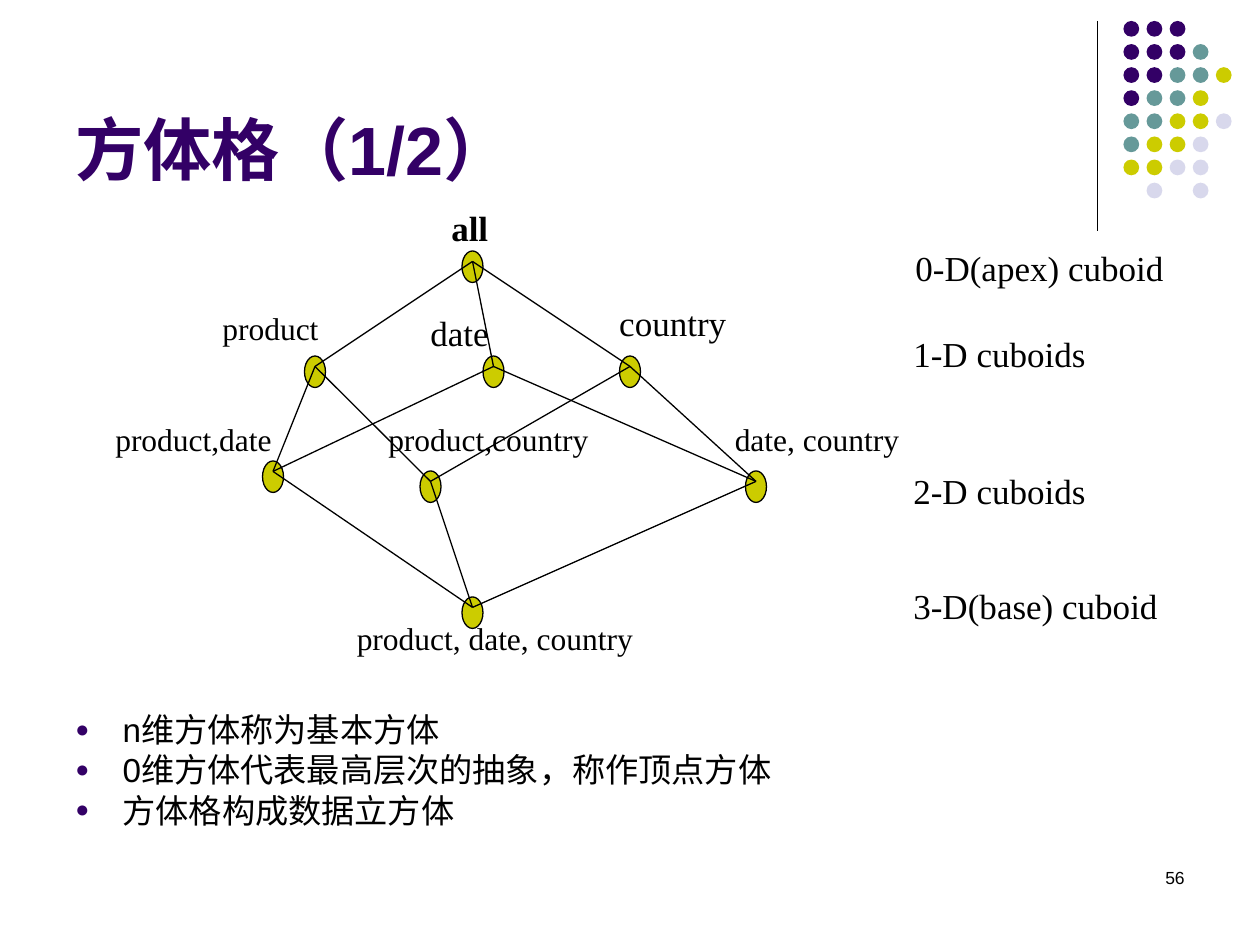
from pptx import Presentation
from pptx.dml.color import RGBColor
from pptx.enum.shapes import MSO_CONNECTOR, MSO_SHAPE
from pptx.enum.text import MSO_ANCHOR, MSO_AUTO_SIZE, PP_ALIGN
from pptx.oxml.ns import qn
from pptx.util import Inches, Pt
from lxml.etree import SubElement

BLACK = RGBColor(0x00, 0x00, 0x00)
PLUM = RGBColor(0x33, 0x00, 0x66)
TEAL = RGBColor(0x66, 0x99, 0x99)
LIME = RGBColor(0xCC, 0xCC, 0x00)
PALE = RGBColor(0xD8, 0xD8, 0xEC)

COLS, ROWS = 120, 90
SANS, SERIF = "Arial", "Times New Roman"

DOTS = ["PPP", "PPPT", "PPTTL", "PTTL", "TTLLA", "TLLA", "LLAA", " A A"]
TINTS = {"P": PLUM, "T": TEAL, "L": LIME, "A": PALE}

NODES = {
    "all": (45, 24.9),
    "p": (30, 34.9), "d": (47, 34.9), "c": (60, 34.9),
    "pd": (26, 44.9), "pc": (41, 45.85), "dc": (72, 45.85),
    "pdc": (45, 57.85),
}
EDGES = [
    ("all", "p"), ("all", "c"), ("all", "d"),
    ("p", "pd"), ("d", "pd"), ("p", "pc"), ("c", "pc"), ("d", "dc"), ("c", "dc"),
    ("pd", "pdc"), ("pc", "pdc"), ("dc", "pdc"),
]
LABELS = [
    ("all", 41.8, 19.1, 6, 20, True),
    ("product", 20, 28.8, 11.7, 18, False),
    ("date", 39.8, 29.1, 8.1, 20, False),
    ("country", 57.8, 28.1, 12.7, 20, False),
    ("product,date", 9.8, 39.4, 17.4, 18, False),
    ("product,country", 35.8, 39.4, 21.6, 18, False),
    ("date, country", 68.8, 39.4, 18.2, 18, False),
    ("product, date, country", 32.8, 58.35, 28.8, 18, False),
    ("0-D(apex) cuboid", 86, 22.9, 26.2, 20, False),
    ("1-D cuboids", 85.8, 31.1, 18.9, 20, False),
    ("2-D cuboids", 85.8, 44.1, 18.9, 20, False),
    ("3-D(base) cuboid", 85.8, 55.1, 25.8, 20, False),
]
POINTS = ["n维方体称为基本方体", "0维方体代表最高层次的抽象，称作顶点方体", "方体格构成数据立方体"]


class Deck:
    def __init__(self):
        self.prs = Presentation()
        self.prs.slide_width, self.prs.slide_height = Inches(10), Inches(7.5)
        self.slide = self.prs.slides.add_slide(self.prs.slide_layouts[6])
        self.shapes = self.slide.shapes

    def col(self, n):
        return round(self.prs.slide_width * n / COLS)

    def row(self, n):
        return round(self.prs.slide_height * n / ROWS)

    def area(self, x, y, w, h):
        return self.col(x), self.row(y), self.col(w), self.row(h)

    def oval(self, kind, box, fill, edge=None):
        oval = self.shapes.add_shape(kind, *self.area(*box))
        oval.shadow.inherit = False
        oval.fill.solid()
        oval.fill.fore_color.rgb = fill
        if edge is None:
            oval.line.fill.background()
        else:
            oval.line.color.rgb = edge
            oval.line.width = Pt(0.75)

    def line(self, start, end):
        ends = [f(n) for p in (start, end) for f, n in zip((self.col, self.row), p)]
        line = self.shapes.add_connector(MSO_CONNECTOR.STRAIGHT, *ends)
        line.line.color.rgb = BLACK
        line.line.width = Pt(0.75)
        SubElement(line._element.spPr, qn("a:effectLst"))

    def text(self, lines, box, size, face=SANS, tint=BLACK, bold=False,
             align=PP_ALIGN.LEFT, anchor=MSO_ANCHOR.TOP, wrap=True, list_=False):
        frame = self.shapes.add_textbox(*self.area(*box)).text_frame
        frame.word_wrap = wrap
        if not wrap:
            frame.auto_size = MSO_AUTO_SIZE.SHAPE_TO_FIT_TEXT
        frame.vertical_anchor = anchor
        for i, words in enumerate(lines):
            para = frame.add_paragraph() if i else frame.paragraphs[0]
            para.alignment = align
            if list_:
                self.bullet(para)
            run = para.add_run()
            run.text = words
            font = run.font
            font.name, font.size, font.bold = face, Pt(size), bold
            font.color.rgb = tint

    def bullet(self, para):
        para.line_spacing = 0.8
        para.space_before = Pt(4.8)
        props = para._p.get_or_add_pPr()
        props.set("marL", str(self.col(4.5)))
        props.set("indent", str(-self.col(4.5)))
        SubElement(SubElement(props, qn("a:buClr")), qn("a:srgbClr"), val=str(PLUM))
        SubElement(props, qn("a:buSzPct"), val="70000")
        SubElement(props, qn("a:buFont"), typeface=SANS)
        SubElement(props, qn("a:buChar"), char="●")

    def save(self):
        self.prs.save("out.pptx")


def main():
    deck = Deck()
    deck.line((104.5, 2), (104.5, 22))
    for r, marks in enumerate(DOTS):
        for c, mark in enumerate(marks):
            if mark in TINTS:
                box = (107 + 2.2 * c, 2 + 2.2 * r, 1.5, 1.5)
                deck.oval(MSO_SHAPE.OVAL, box, TINTS[mark])

    deck.text(["56"], (86, 82, 28, 6), 10, align=PP_ALIGN.RIGHT)
    deck.text(["方体格（1/2）"], (6, 1.6, 99, 17), 39, tint=PLUM, bold=True,
              anchor=MSO_ANCHOR.BOTTOM)
    deck.text(POINTS, (6, 67.7, 105, 12.2), 19, list_=True)

    for x, y in NODES.values():
        deck.oval(MSO_SHAPE.FLOWCHART_CONNECTOR, (x - 1, y - 1, 2, 3), LIME, BLACK)
    for start, end in EDGES:
        deck.line(NODES[start], NODES[end])
    for words, x, y, wide, size, bold in LABELS:
        high = 5.3 if size == 20 else 4.8
        deck.text([words], (x, y, wide, high), size, SERIF, bold=bold, wrap=False)
    deck.save()


if __name__ == "__main__":
    main()
